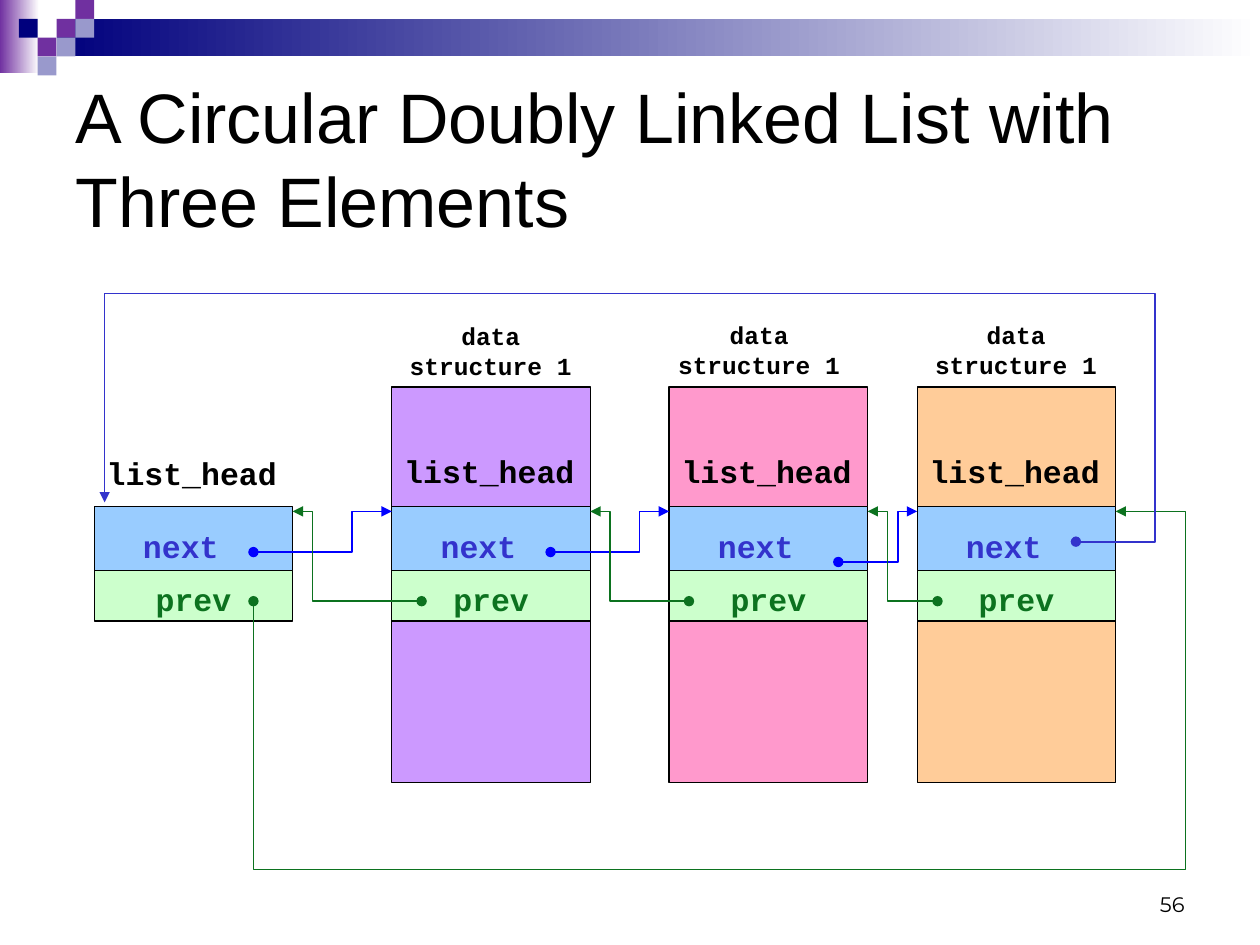
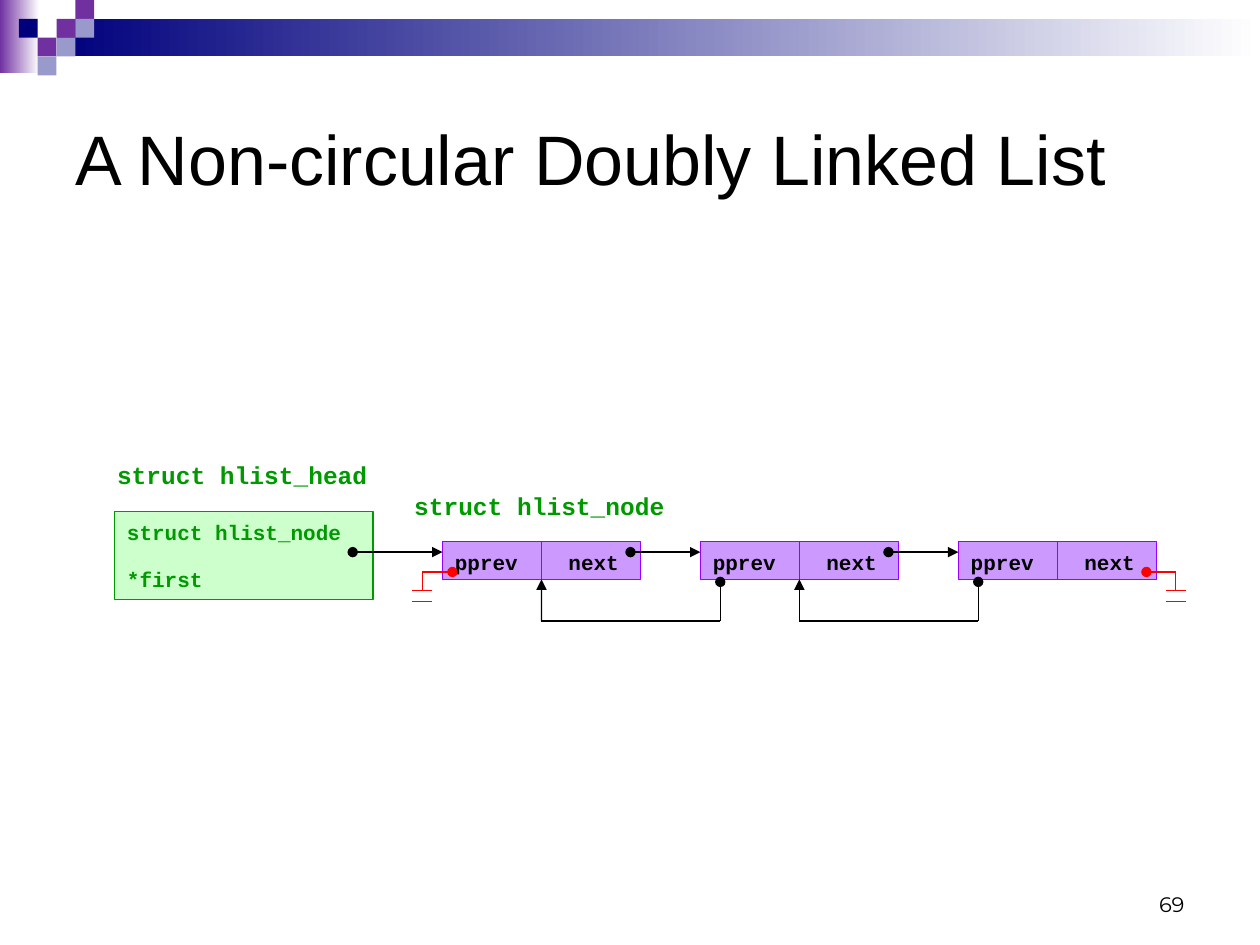
from dataclasses import dataclass

from lxml import etree
from pptx import Presentation
from pptx import util as u
from pptx.dml.color import RGBColor
from pptx.enum import shapes, text
from pptx.oxml import ns


@dataclass(frozen=True)
class Theme:
    # Colours
    ink: str = "000000"
    purple: str = "7030A0"
    navy: str = "00007D"
    lavender: str = "9999CC"
    white: str = "FFFFFF"
    sky: str = "99CCFF"
    mint: str = "CCFFCC"
    violet: str = "CC99FF"
    pink: str = "FF99CC"
    peach: str = "FFCC99"
    next_text: str = "3333CC"
    next_link: str = "0000FF"
    prev_green: str = "0C721F"
    struct_green: str = "009900"
    node_line: str = "9900FF"
    null_red: str = "FF0000"
    # Fonts and sizes
    title_font: str = "Arial"
    code_font: str = "Courier New"
    number_font: str = "Montserrat"
    spacer_font: str = "Times New Roman"
    title_size: int = 40
    field_size: int = 18
    label_size: int = 14
    small_size: int = 12
    spacer_size: int = 24
    leading: float = 1.22
    # Line widths
    thin: float = 0.75
    link: float = 1


def rgb(value):
    return RGBColor.from_string(value)


class Deck:
    def __init__(self, theme):
        self.theme = theme
        self.prs = Presentation()
        self.prs.slide_width, self.prs.slide_height = u.Cm(25.4), u.Cm(19.05)
        self.slide = None

    def new_slide(self, title, number):
        t = self.theme
        self.slide = self.prs.slides.add_slide(self.prs.slide_layouts[5])
        self.band()
        heading = self.slide.shapes.title
        heading.left, heading.top = u.Cm(1.27), u.Cm(1.27)
        heading.width, heading.height = u.Cm(22.86), u.Cm(3.81)
        frame = heading.text_frame
        frame.text = title
        frame.auto_size = text.MSO_AUTO_SIZE.NONE
        frame.vertical_anchor = text.MSO_ANCHOR.MIDDLE
        line = frame.paragraphs[0]
        line.alignment = text.PP_ALIGN.LEFT
        line.line_spacing = u.Pt(t.title_size * 1.2)
        self.font(line, t.title_size, t.ink, t.title_font, bold=False)
        page = self.label(number, 18.21, 17.35, 5.92, 1.27, t.small_size,
                          align=text.PP_ALIGN.RIGHT)
        page.text_frame.vertical_anchor = text.MSO_ANCHOR.BOTTOM
        self.font(page.text_frame.paragraphs[0], t.small_size, t.ink, t.number_font, bold=False)

    def band(self):
        """Gradient strips and the stepped squares at the top left."""
        t = self.theme
        self.box(0, 0, 0.79, 1.47, (t.purple, t.white))
        self.box(1.14, 0.38, 24.26, 0.76, (t.navy, t.white))
        step = 0.38
        for column, row, fill in ((3, 1, t.purple), (4, 0, t.purple), (4, 1, t.lavender),
                                  (2, 2, t.purple), (1, 1, t.navy), (3, 2, t.lavender),
                                  (2, 3, t.lavender)):
            self.box(column * step, row * step, step, step, fill)

    def font(self, target, size, color, name=None, bold=True):
        target.font.name = name or self.theme.code_font
        target.font.size = u.Pt(size)
        target.font.bold = bold
        target.font.color.rgb = rgb(color)

    def box(self, left, top, width, height, fill, line=None):
        """Rectangle; a pair of colours gives a left-to-right gradient."""
        rect = self.slide.shapes.add_shape(
            shapes.MSO_SHAPE.RECTANGLE, u.Cm(left), u.Cm(top), u.Cm(width), u.Cm(height))
        rect.shadow.inherit = False
        if isinstance(fill, tuple):
            rect.fill.gradient()
            rect.fill.gradient_angle = 0
            for stop, color in zip(rect.fill.gradient_stops, fill):
                stop.color.rgb = rgb(color)
        else:
            rect.fill.solid()
            rect.fill.fore_color.rgb = rgb(fill)
        if line:
            self.stroke(rect, line, self.theme.thin)
        else:
            rect.line.fill.background()
        return rect

    def code(self, shape, words, size, color=None, align=text.PP_ALIGN.LEFT,
             top=0.15, right=0.25):
        """Code text, placed by its insets."""
        frame = shape.text_frame
        frame.word_wrap = True
        frame.vertical_anchor = text.MSO_ANCHOR.TOP
        frame.margin_left, frame.margin_right = u.Cm(0.25), u.Cm(right)
        frame.margin_top, frame.margin_bottom = u.Cm(top), u.Cm(0.13)
        frame.text = words
        line = frame.paragraphs[0]
        line.alignment = align
        line.line_spacing = u.Pt(round(size * self.theme.leading, 1))
        self.font(line, size, color or self.theme.ink)
        return line

    def label(self, words, left, top, width, height, size, color=None,
              align=text.PP_ALIGN.LEFT):
        area = self.slide.shapes.add_textbox(u.Cm(left), u.Cm(top), u.Cm(width), u.Cm(height))
        self.code(area, words, size, color, align)
        return area

    def stroke(self, shape, color, width, head=None, tail=None):
        shape.line.color.rgb = rgb(color)
        shape.line.width = u.Pt(width)
        outline = shape._element.spPr.find(ns.qn("a:ln"))
        for tag, kind in (("a:headEnd", head), ("a:tailEnd", tail)):
            if kind:
                etree.SubElement(outline, ns.qn(tag), type=kind)

    def route(self, points, color):
        """Bent link from a dot to an arrowhead."""
        start, *bends = [(u.Cm(x), u.Cm(y)) for x, y in points]
        builder = self.slide.shapes.build_freeform(*start)
        builder.add_line_segments(bends, close=False)
        link = builder.convert_to_shape()
        link.shadow.inherit = False
        link.fill.background()
        self.stroke(link, color, self.theme.link, "oval", "triangle")

    def line(self, start, end, color=None, head=None, tail=None):
        link = self.slide.shapes.add_connector(
            shapes.MSO_CONNECTOR.STRAIGHT, *(u.Cm(v) for v in (*start, *end)))
        self.stroke(link, color or self.theme.ink, self.theme.thin, head, tail)
        etree.SubElement(link._element.spPr, ns.qn("a:effectLst"))
        return link


def list_fields(deck, left, width):
    """The next and prev fields of one list_head."""
    t = deck.theme
    center = text.PP_ALIGN.CENTER
    next_field = deck.box(left, 10.21, width, 1.29, t.sky, t.ink)
    deck.code(next_field, "next", t.field_size, t.next_text, center, top=0.41, right=0.76)
    prev_field = deck.box(left, 11.5, width, 1.02, t.mint, t.ink)
    deck.code(prev_field, "prev", t.field_size, t.prev_green, center, top=0.18)


def circular_list(deck):
    t = deck.theme
    deck.new_slide("A Circular Doubly Linked List with Three Elements", "56")
    width, entry_y, prev_y = 4, 10.31, 12.12
    lefts = (1.9, 7.9, 13.49, 18.49)

    # Head and the three data structures
    list_fields(deck, lefts[0], width)
    deck.label("list_head", 1.9, 8.99, 4.39, 1.02, t.field_size)
    captions = ((7.7, 6.32), (13.11, 6.3), (18.29, 6.3))
    for left, fill, (x, y) in zip(lefts[1:], (t.violet, t.pink, t.peach), captions):
        structure = deck.box(left, 7.8, width, 7.98, fill, t.ink)
        deck.code(structure, "list_head", t.field_size, top=1.3)
        list_fields(deck, left, width)
        deck.label("data structure 1", x, y, 4.39, 1.45, t.label_size,
                   align=text.PP_ALIGN.CENTER)

    # Links between neighbours: next start, its bend before the target, prev start
    hops = (((5.11, 11.13), 0.8, 8.5), ((11.1, 11.13), 0.6, 13.89), ((16.9, 11.33), 0.38, 18.9))
    for left, target, ((x, y), gap, prev_x) in zip(lefts, lefts[1:], hops):
        bend, right = target - gap, left + width
        deck.route([(x, y), (bend, y), (bend, entry_y), (target, entry_y)], t.next_link)
        deck.route([(prev_x, prev_y), (right + 0.4, prev_y),
                    (right + 0.4, entry_y), (right, entry_y)], t.prev_green)

    # Links that close the circle
    deck.route([(5.11, prev_y), (5.11, 17.53), (23.9, 17.53), (23.9, entry_y),
                (lefts[-1] + width, entry_y)], t.prev_green)
    deck.route([(21.69, 10.92), (23.29, 10.92), (23.29, 5.92), (2.11, 5.92), (2.11, 10.13)],
               t.next_text)


def null_mark(deck, start_x, x):
    """Red ground symbol for a null pointer."""
    red = deck.theme.null_red
    deck.line((start_x, 11.53), (x, 11.53), red, head="oval")
    deck.line((x, 11.53), (x, 11.91), red)
    for y in (11.91, 12.12):
        deck.line((x - 0.2, y), (x + 0.2, y), red)


def non_circular_list(deck):
    t = deck.theme
    deck.new_slide("A Non-circular Doubly Linked List", "69")
    width, top, next_y, loop_y = 3.99, 10.92, 11.13, 12.52
    lefts = [8.92 + 5.2 * i for i in range(3)]

    # List head; the larger closing space opens up its last line
    first = deck.box(2.31, 10.31, 5.21, 1.78, t.mint, t.struct_green)
    pointer = deck.code(first, "struct hlist_node *first", t.small_size, t.struct_green, top=0.17)
    pointer.line_spacing = None
    spacer = pointer.add_run()
    spacer.text = " "
    deck.font(spacer, t.spacer_size, t.ink, t.spacer_font, bold=False)

    # Nodes
    nodes = []
    for left in lefts:
        node = deck.box(left, top, width, 0.76, t.violet, t.node_line)
        fields = deck.code(node, "pprev\tnext", t.small_size)
        stops = etree.SubElement(fields._p.get_or_add_pPr(), ns.qn("a:tabLst"))
        etree.SubElement(stops, ns.qn("a:tab"), pos=str(u.Cm(2.29)), algn="l")
        # Tab stops come before the default run properties
        default_run = fields._p.pPr.find(ns.qn("a:defRPr"))
        if default_run is not None:
            default_run.addprevious(stops)
        middle = left + width / 2
        divider = deck.line((middle, top), (middle, top + 0.76), t.node_line)
        divider.begin_connect(node, 0)
        divider.end_connect(node, 2)
        nodes.append(node)

    # Forward links
    for start, target in zip((7.11, lefts[0] + 3.79, lefts[1] + 3.79), lefts):
        deck.line((start, next_y), (target, next_y), head="oval", tail="triangle")

    # Back links into the next field of the previous node
    for node, left, follower in zip(nodes, lefts, lefts[1:]):
        middle, pprev_x = left + width / 2, follower + 0.4
        deck.line((pprev_x, 11.73), (pprev_x, loop_y), head="oval")
        deck.line((middle, loop_y), (pprev_x, loop_y))
        deck.line((middle, loop_y), (middle, 11.73), tail="triangle").end_connect(node, 2)

    # Null ends and type names
    null_mark(deck, 9.12, 8.51)
    null_mark(deck, 23.11, 23.7)
    for words, x, y in (("struct hlist_head", 2.11, 9.12), ("struct hlist_node", 8.1, 9.73)):
        deck.label(words, x, y, 5.59, 0.86, t.label_size, t.struct_green)


def main():
    deck = Deck(Theme())
    circular_list(deck)
    non_circular_list(deck)
    deck.prs.save("out.pptx")


if __name__ == "__main__":
    main()
